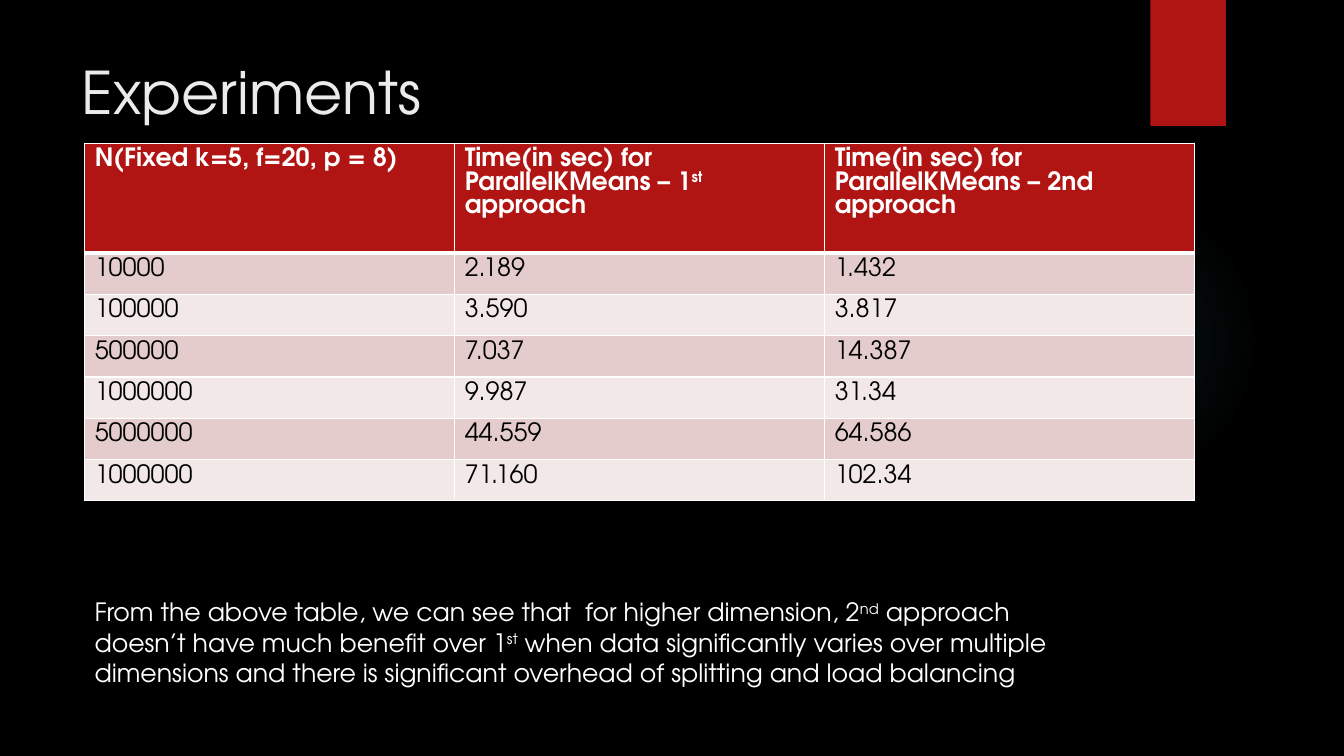
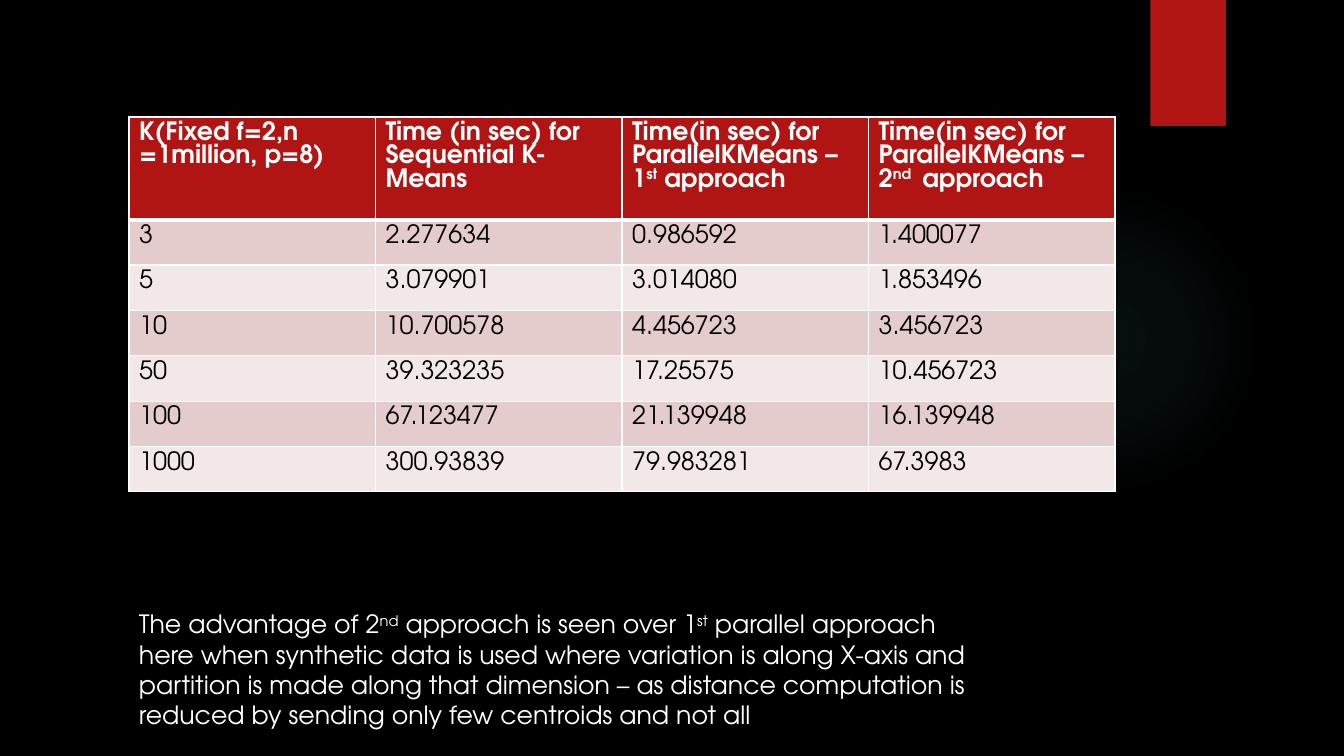
from lxml.etree import SubElement
from pptx import Presentation
from pptx.dml.color import RGBColor
from pptx.enum.shapes import MSO_SHAPE
from pptx.enum.text import MSO_ANCHOR
from pptx.oxml import parse_xml
from pptx.oxml.ns import nsdecls, qn
from pptx.util import Inches, Pt

BLACK = RGBColor(0x00, 0x00, 0x00)
WHITE = RGBColor(0xFF, 0xFF, 0xFF)
TITLE_GREY = RGBColor(0xEB, 0xEB, 0xEB)
RED = RGBColor(0xB0, 0x15, 0x13)
GLOW_TEAL = RGBColor(0x50, 0xB9, 0xC1)
ROW_TINTS = [RGBColor(0xE4, 0xCC, 0xCC), RGBColor(0xF2, 0xE8, 0xE7)]
FONT = "TeX Gyre Adventor"
GLOW_STOPS = [(0, 7), (36, 6), (69, 0)]  # position %, opacity %

# Text between carets is superscript.
PAGES = [
    dict(
        title="Experiments",
        table_at=(0.84, 1.42), table_width=11.01, header_height=1.09, row_height=0.41,
        rows=[
            ["N(Fixed k=5, f=20, p = 8)",
             "Time(in sec) for ParallelKMeans – 1^st^ approach",
             "Time(in sec) for ParallelKMeans – 2nd approach"],
            ["10000", "2.189", "1.432"],
            ["100000", "3.590", "3.817"],
            ["500000", "7.037", "14.387"],
            ["1000000", "9.987", "31.34"],
            ["5000000", "44.559", "64.586"],
            ["1000000", "71.160", "102.34"],
        ],
        remark="From the above table, we can see that  for higher dimension, 2^nd^ approach "
               "doesn’t have much benefit over 1^st^ when data significantly varies over "
               "multiple dimensions and there is significant overhead of splitting and "
               "load balancing",
        remark_at=(0.84, 5.87, 9.84, 1.01),
    ),
    dict(
        title=None,
        table_at=(1.28, 1.16), table_width=9.78, header_height=1.02, row_height=0.45,
        rows=[
            ["K(Fixed f=2,n =1million, p=8)",
             "Time (in sec) for Sequential K-Means",
             "Time(in sec) for ParallelKMeans – 1^st^ approach",
             "Time(in sec) for ParallelKMeans – 2^nd ^ approach"],
            ["3", "2.277634", "0.986592", "1.400077"],
            ["5", "3.079901", "3.014080", "1.853496"],
            ["10", "10.700578", "4.456723", "3.456723"],
            ["50", "39.323235", "17.25575", "10.456723"],
            ["100", "67.123477", "21.139948", "16.139948"],
            ["1000", "300.93839", "79.983281", "67.3983"],
        ],
        remark="The advantage of 2^nd^ approach is seen over 1^st^ parallel approach here when "
               "synthetic data is used where variation is along X-axis and partition is made "
               "along that dimension – as distance computation is reduced by sending only few "
               "centroids and not all",
        remark_at=(1.28, 5.99, 8.57, 1.31),
    ),
]


def write(frame, text, size=18, color=WHITE, bold=False):
    """Fill a text frame with one paragraph, raising the parts between carets."""
    frame.word_wrap = True
    frame.vertical_anchor = MSO_ANCHOR.TOP
    for index, part in enumerate(text.split("^")):
        run = frame.paragraphs[0].add_run()
        run.text = part
        run.font.name, run.font.size = FONT, Pt(size)
        run.font.color.rgb, run.font.bold = color, bold
        if index % 2:
            run._r.get_or_add_rPr().set("baseline", "30000")


def rule_cell(cell, top, bottom):
    """Draw white borders round a cell, with top and bottom widths in points."""
    properties = cell._tc.get_or_add_tcPr()
    for side, width in (("L", 1), ("R", 1), ("T", top), ("B", bottom)):
        line = SubElement(properties, qn(f"a:ln{side}"), w=str(Pt(width)))
        SubElement(SubElement(line, qn("a:solidFill")), qn("a:srgbClr"), val=str(WHITE))


prs = Presentation()
prs.slide_width, prs.slide_height = Inches(13.33), Inches(7.5)
blank = prs.slide_layouts[6]
backdrop = prs.slide_master.background.fill
backdrop.solid()
backdrop.fore_color.rgb = BLACK

for page in PAGES:
    slide = prs.slides.add_slide(blank)
    shapes = slide.shapes

    # Faint round glow and red tab behind the content
    glow = shapes.add_shape(MSO_SHAPE.OVAL, Inches(9.41), Inches(1.83), Inches(3.08), Inches(3.08))
    glow.shadow.inherit = False
    glow.line.fill.background()
    stops = "".join(
        f'<a:gs pos="{position * 1000}"><a:srgbClr val="{GLOW_TEAL}">'
        f'<a:alpha val="{opacity * 1000}"/></a:srgbClr></a:gs>'
        for position, opacity in GLOW_STOPS)
    glow._element.spPr.find(qn("a:prstGeom")).addnext(parse_xml(
        f'<a:gradFill {nsdecls("a")} rotWithShape="1"><a:gsLst>{stops}</a:gsLst>'
        '<a:path path="circle"><a:fillToRect l="50000" t="50000" r="50000" b="50000"/></a:path>'
        '</a:gradFill>'))

    tab = shapes.add_shape(MSO_SHAPE.RECTANGLE, Inches(11.41), 0, Inches(0.75), Inches(1.25))
    tab.shadow.inherit = False
    tab.fill.solid()
    tab.fill.fore_color.rgb = RED
    tab.line.fill.background()
    shade = SubElement(tab._element.spPr.find(qn("a:effectLst")), qn("a:outerShdw"),
                       blurRad=str(Pt(3)), dist=str(Pt(2)), dir="5400000", rotWithShape="0")
    SubElement(SubElement(shade, qn("a:srgbClr"), val=str(BLACK)), qn("a:alpha"), val="45000")

    if page["title"]:
        title = shapes.add_textbox(Inches(0.71), Inches(0.5), Inches(10.29), Inches(1.53))
        write(title.text_frame, page["title"], size=42, color=TITLE_GREY)

    rows = page["rows"]
    heights = [page["header_height"]] + [page["row_height"]] * (len(rows) - 1)
    left, top = page["table_at"]
    timings = shapes.add_table(len(rows), len(rows[0]), Inches(left), Inches(top),
                               Inches(page["table_width"]), Inches(sum(heights))).table
    for column in timings.columns:
        column.width = Inches(page["table_width"] / len(rows[0]))
    for r, (values, height) in enumerate(zip(rows, heights)):
        timings.rows[r].height = Inches(height)
        header = r == 0
        for c, value in enumerate(values):
            cell = timings.cell(r, c)
            write(cell.text_frame, value, color=WHITE if header else BLACK, bold=header)
            rule_cell(cell, top=3 if r == 1 else 1, bottom=3 if header else 1)
            cell.fill.solid()
            cell.fill.fore_color.rgb = RED if header else ROW_TINTS[(r - 1) % 2]

    remark = shapes.add_textbox(*map(Inches, page["remark_at"]))
    write(remark.text_frame, page["remark"])

prs.save("out.pptx")
